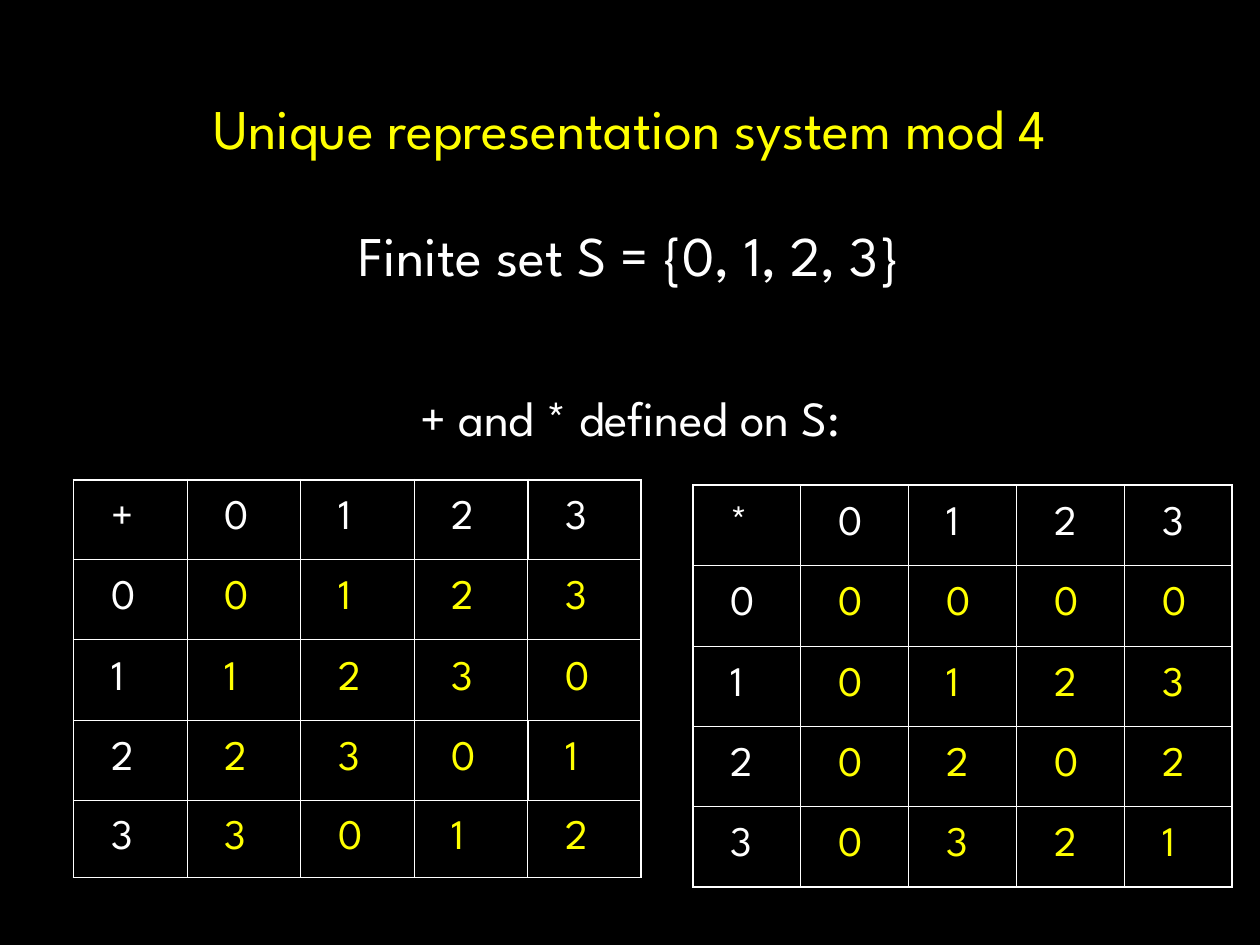
"""Build a slide with the addition and multiplication tables mod 4."""
from lxml import etree
from pptx import Presentation
from pptx.dml.color import RGBColor
from pptx.enum import text
from pptx.oxml import ns
from pptx.util import Pt

FONT = "League Spartan"
COLORS = {"back": "000000", "plain": "FFFFFF", "accent": "FFFF00"}
HEADING = [
    {"text": "Unique representation system mod 4", "size": 32, "color": "accent", "before": 0, "spacing": 1.0},
    {"text": "Finite set S = {0, 1, 2, 3}", "size": 32, "color": "plain", "before": 38.4, "spacing": 0.9},
    {"text": "+ and * defined on S:", "size": 28, "color": "plain", "before": 60.5, "spacing": 0.9},
]
TABLES = [
    {
        "left": 42, "top": 274.2, "column": 64.9, "rows": [45.4, 46, 46, 46, 44],
        "values": ["+0123", "00123", "11230", "22301", "33012"],
    },
    {
        "left": 396, "top": 277.3, "column": 61.65, "rows": [45.9] * 5,
        "values": ["*0123", "00000", "10123", "20202", "30321"],
    },
]
THIN, THICK = 0.45, 1.08
THICK_ROW_LINES = {0, 4, 5}
THICK_COLUMN_LINES = {0, 5}
SPLIT_COLUMN_LINE, SPLIT_ROWS = 4, {0, 3}


def add_span(para, words, size, color):
    span = para.add_run()
    span.text = words
    span.font.name = FONT
    span.font.size = Pt(size)
    span.font.color.rgb = RGBColor.from_string(COLORS[color])


def row_line_width(line):
    return THICK if line in THICK_ROW_LINES else THIN


def column_line_width(line, row):
    split = line == SPLIT_COLUMN_LINE and row in SPLIT_ROWS
    return THICK if split or line in THICK_COLUMN_LINES else THIN


def draw_borders(cell, row, column):
    widths = {
        "a:lnL": column_line_width(column, row),
        "a:lnR": column_line_width(column + 1, row),
        "a:lnT": row_line_width(row),
        "a:lnB": row_line_width(row + 1),
    }
    properties = cell._tc.get_or_add_tcPr()
    for tag, width in widths.items():
        line = etree.SubElement(properties, ns.qn(tag), w=str(Pt(width)))
        fill = etree.SubElement(line, ns.qn("a:solidFill"))
        etree.SubElement(fill, ns.qn("a:srgbClr"), val=COLORS["plain"])


def fill_cell(cell, value, row, column):
    draw_borders(cell, row, column)
    cell.fill.solid()
    cell.fill.fore_color.rgb = RGBColor.from_string(COLORS["back"])
    cell.vertical_anchor = text.MSO_ANCHOR.MIDDLE
    cell.margin_left = cell.margin_right = Pt(21.6)
    cell.margin_top = cell.margin_bottom = Pt(3.6)
    para = cell.text_frame.paragraphs[0]
    para.space_before = Pt(6)
    add_span(para, value, 24, "accent" if row and column else "plain")


def add_operation_table(page, data):
    values, heights, width = data["values"], data["rows"], data["column"]
    count = len(values[0])
    table = page.shapes.add_table(
        len(values), count, Pt(data["left"]), Pt(data["top"]), Pt(width * count), Pt(sum(heights))
    ).table
    for column in table.columns:
        column.width = Pt(width)
    for row, (line, height) in enumerate(zip(values, heights)):
        table.rows[row].height = Pt(height)
        for column, value in enumerate(line):
            fill_cell(table.cell(row, column), value, row, column)


def add_heading(page):
    box = page.shapes.title
    box.left, box.top, box.width, box.height = Pt(52.5), Pt(49.7), Pt(615), Pt(209.5)
    frame = box.text_frame
    frame.word_wrap = True
    frame.auto_size = text.MSO_AUTO_SIZE.SHAPE_TO_FIT_TEXT
    frame.vertical_anchor = text.MSO_ANCHOR.TOP
    for index, item in enumerate(HEADING):
        para = frame.add_paragraph() if index else frame.paragraphs[0]
        para.alignment = text.PP_ALIGN.CENTER
        para.space_before = Pt(item["before"])
        para.line_spacing = item["spacing"]
        add_span(para, item["text"], item["size"], item["color"])


def main():
    deck = Presentation()
    deck.slide_width, deck.slide_height = Pt(720), Pt(540)
    page = deck.slides.add_slide(deck.slide_layouts[5])
    page.background.fill.solid()
    page.background.fill.fore_color.rgb = RGBColor.from_string(COLORS["back"])
    add_heading(page)
    for data in TABLES:
        add_operation_table(page, data)
    deck.save("out.pptx")


if __name__ == "__main__":
    main()
